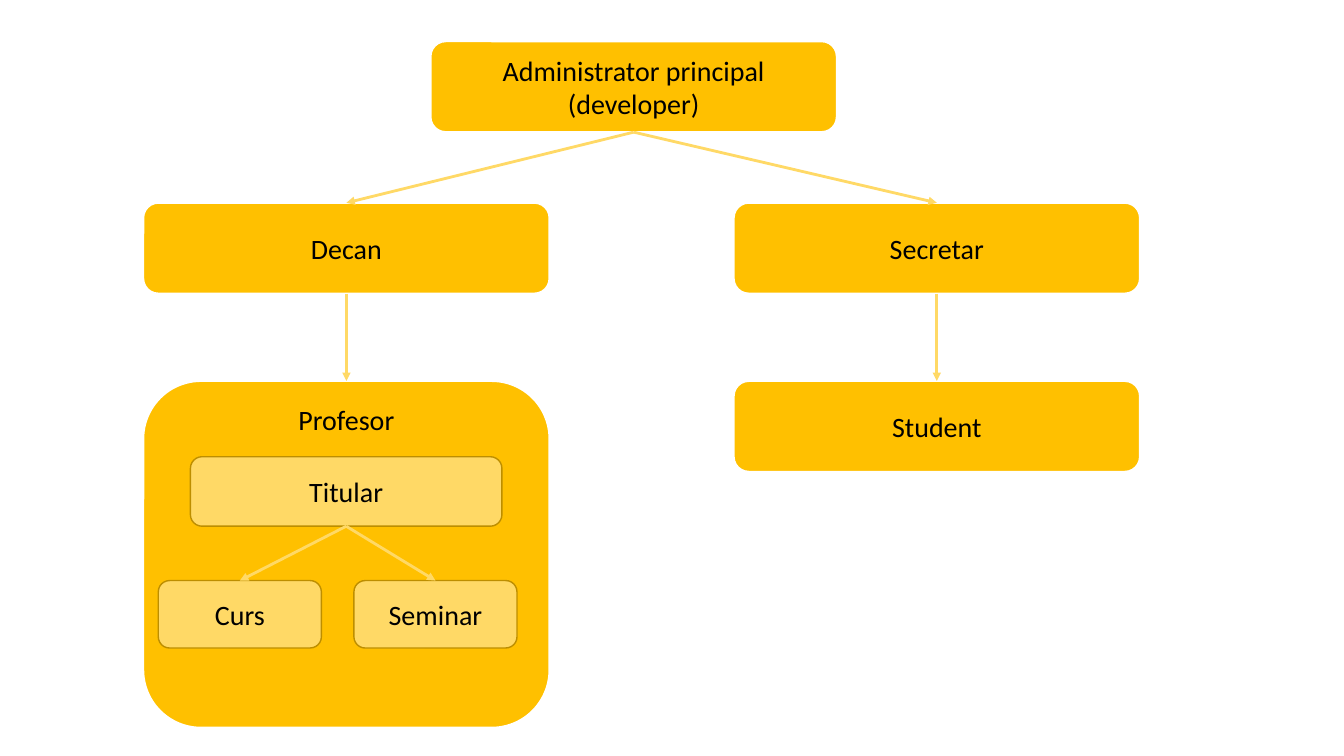
"""Draw the hierarchy of user roles in a faculty application."""
from dataclasses import dataclass

import lxml.etree
import pptx
import pptx.dml.color
import pptx.enum.shapes
import pptx.enum.text
import pptx.oxml.ns
import pptx.shapes.autoshape
import pptx.shapes.connector
import pptx.slide
import pptx.util

COLORS = {
    "role": "FFC000",
    "role_border": "FFFFFF",
    "subrole": "FFD966",
    "subrole_border": "BD8E00",
    "arrow": "FFD966",
    "text": "000000",
}
BORDER_WIDTHS = {"role": 1.5, "subrole": 1}
TOP_SITE, BOTTOM_SITE = 0, 2
ROLE_WIDTH, ROLE_HEIGHT = 10.24, 2.29
COURSE_WIDTH, COURSE_HEIGHT = 4.11, 1.7
LEFT_COLUMN, RIGHT_COLUMN = 3.61, 18.49
SECOND_ROW, THIRD_ROW, COURSE_ROW = 5.11, 9.6, 14.63


@dataclass(frozen=True)
class Role:
    lines: tuple[str, ...]
    left: float
    top: float
    width: float = ROLE_WIDTH
    height: float = ROLE_HEIGHT
    style: str = "role"
    text_at_top: bool = False


ROLES = {
    "admin": Role(("Administrator principal", "(developer)"), 10.85, 1.04),
    "dean": Role(("Decan",), LEFT_COLUMN, SECOND_ROW),
    "secretary": Role(("Secretar",), RIGHT_COLUMN, SECOND_ROW),
    "professor": Role(("Profesor",), LEFT_COLUMN, THIRD_ROW, height=8.74, text_at_top=True),
    "tenured": Role(("Titular",), 4.8, 11.51, 7.85, 1.75, "subrole"),
    "course": Role(("Curs",), 3.99, COURSE_ROW, COURSE_WIDTH, COURSE_HEIGHT, "subrole"),
    "seminar": Role(("Seminar",), 8.92, COURSE_ROW, COURSE_WIDTH, COURSE_HEIGHT, "subrole"),
    "student": Role(("Student",), RIGHT_COLUMN, THIRD_ROW),
}
ARROWS = (
    ("admin", "dean"),
    ("admin", "secretary"),
    ("dean", "professor"),
    ("tenured", "course"),
    ("tenured", "seminar"),
    ("secretary", "student"),
)


def color(name: str) -> pptx.dml.color.RGBColor:
    return pptx.dml.color.RGBColor.from_string(COLORS[name])


def draw_role(page: pptx.slide.Slide, role: Role) -> pptx.shapes.autoshape.Shape:
    box = page.shapes.add_shape(
        pptx.enum.shapes.MSO_SHAPE.ROUNDED_RECTANGLE,
        *(pptx.util.Cm(length) for length in (role.left, role.top, role.width, role.height)),
    )
    box.shadow.inherit = False
    box.fill.solid()
    box.fill.fore_color.rgb = color(role.style)
    box.line.color.rgb = color(f"{role.style}_border")
    box.line.width = pptx.util.Pt(BORDER_WIDTHS[role.style])
    frame = box.text_frame
    frame.word_wrap = True
    anchors = pptx.enum.text.MSO_ANCHOR
    frame.vertical_anchor = anchors.TOP if role.text_at_top else anchors.MIDDLE
    for index, line in enumerate(role.lines):
        para = frame.add_paragraph() if index else frame.paragraphs[0]
        para.alignment = pptx.enum.text.PP_ALIGN.CENTER
        span = para.add_run()
        span.text = line
        span.font.name = "Calibri"
        span.font.size = pptx.util.Pt(20)
        span.font.color.rgb = color("text")
    return box


def draw_arrow(
    page: pptx.slide.Slide,
    parent: pptx.shapes.autoshape.Shape,
    child: pptx.shapes.autoshape.Shape,
) -> pptx.shapes.connector.Connector:
    arrow = page.shapes.add_connector(pptx.enum.shapes.MSO_CONNECTOR.STRAIGHT, 0, 0, 0, 0)
    arrow.begin_connect(parent, BOTTOM_SITE)
    arrow.end_connect(child, TOP_SITE)
    arrow.line.color.rgb = color("arrow")
    arrow.line.width = pptx.util.Pt(2)
    properties = arrow.line._get_or_add_ln()
    lxml.etree.SubElement(properties, pptx.oxml.ns.qn("a:tailEnd"), type="triangle")
    lxml.etree.SubElement(properties.getparent(), pptx.oxml.ns.qn("a:effectLst"))
    return arrow


def main() -> None:
    deck = pptx.Presentation()
    deck.slide_width = pptx.util.Cm(33.87)
    deck.slide_height = pptx.util.Cm(19.05)
    page = deck.slides.add_slide(deck.slide_layouts[6])
    boxes = {name: draw_role(page, role) for name, role in ROLES.items()}
    for parent, child in ARROWS:
        draw_arrow(page, boxes[parent], boxes[child])
    deck.save("out.pptx")


if __name__ == "__main__":
    main()
